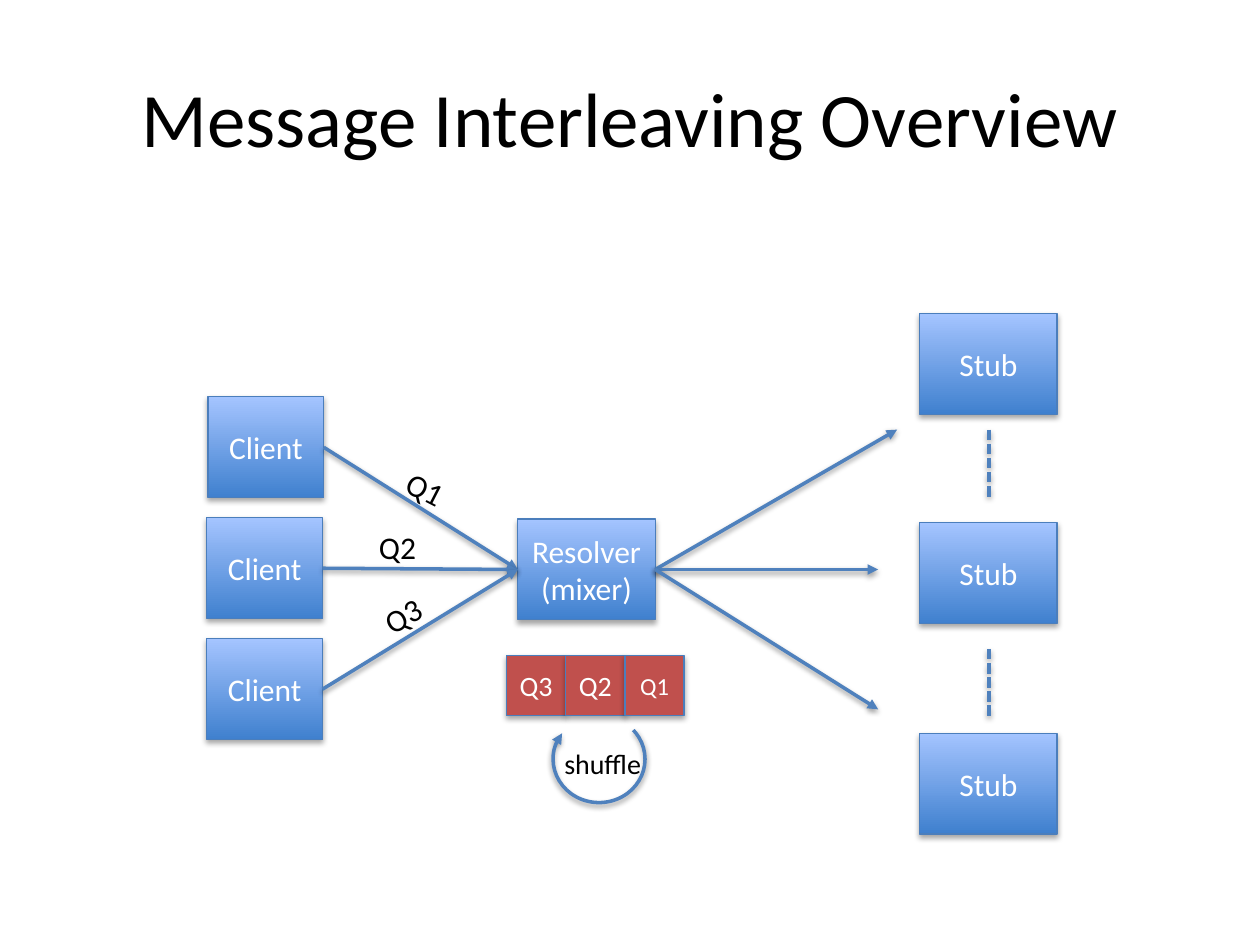
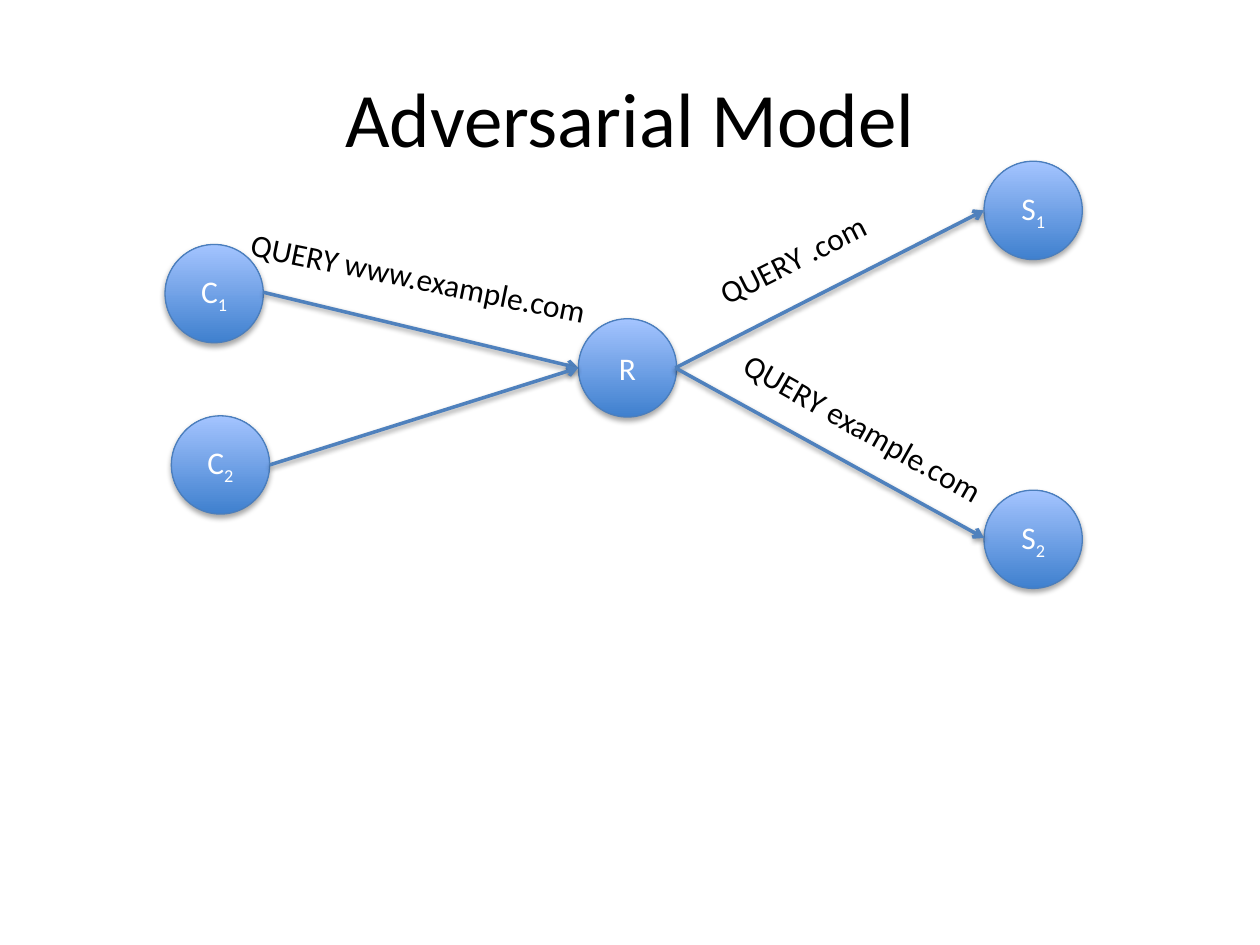
from lxml import etree
from pptx import Presentation
from pptx.dml.color import RGBColor
from pptx.enum.dml import MSO_LINE
from pptx.enum.shapes import MSO_CONNECTOR, MSO_SHAPE
from pptx.enum.text import MSO_ANCHOR, MSO_AUTO_SIZE, PP_ALIGN
from pptx.oxml import parse_xml
from pptx.oxml.ns import nsdecls, qn
from pptx.util import Inches, Pt

hex_color = RGBColor.from_string
FONT = "Calibri"
BLACK, WHITE, RED = "000000", "FFFFFF", "C0504D"
GRADIENT = ("3F80CE", "A4C4FF")
# Colour and width in points, then shadow distance in EMU and opacity in percent
NODE_EDGE = ("4B7EBC", 0.75, 23000, 35)
FLOW_LINE = ("4F81BD", 2, 20000, 38)


def write_text(shape, text, size, color=BLACK, align=PP_ALIGN.CENTER):
    """Write lines of text; what follows an underscore becomes a subscript."""
    frame = shape.text_frame
    for index, line in enumerate(text.split("\n")):
        paragraph = frame.add_paragraph() if index else frame.paragraphs[0]
        paragraph.alignment = align
        base, _, subscript = line.partition("_")
        for part in filter(None, (base, subscript)):
            run = paragraph.add_run()
            run.text = part
            for name, value in {"name": FONT, "size": Pt(size)}.items():
                setattr(run.font, name, value)
            run.font.color.rgb = hex_color(color)
        if subscript:
            run.font._element.set("baseline", "-25000")


def style_line(shape, style, arrow=None):
    """Give a shape or connector its line, arrowhead and soft shadow."""
    color, width, distance, opacity = style
    shape.line.color.rgb = hex_color(color)
    shape.line.width = Pt(width)
    if arrow:
        etree.SubElement(shape.line._get_or_add_ln(), qn("a:tailEnd"), type=arrow)
    shape._element.spPr.append(parse_xml(
        f'<a:effectLst {nsdecls("a")}><a:outerShdw blurRad="40000" dist="{distance}" '
        f'dir="5400000" rotWithShape="0"><a:srgbClr val="000000">'
        f'<a:alpha val="{opacity * 1000}"/></a:srgbClr></a:outerShdw></a:effectLst>'))


# Message interleaving: nodes are text, left, top, width, height
clients = [(1.65, 3.15), (1.64, 4.11), (1.64, 5.07)]
stub_tops = [2.49, 4.15, 5.82]
resolver_in, resolver_out = (4.11, 4.52), (5.2, 4.52)
interleaving = {
    "title": "Message Interleaving Overview",
    "outline": MSO_SHAPE.RECTANGLE,
    "arrow": "triangle",
    "nodes": [("Client", left, top, 0.92, 0.8) for left, top in clients]
    + [("Stub", 7.3, top, 1.09, 0.8) for top in stub_tops]
    + [("Resolver\n(mixer)", 4.11, 4.12, 1.09, 0.8)],
    "flows": [((left + 0.92, top + 0.4), resolver_in) for left, top in clients]
    + [(resolver_out, end) for end in ((7.12, 3.41), (6.97, 4.52), (6.97, 5.63))],
    "labels": [
        ("Q1", 3.13, 3.68, 0.5, 27.2, 18),
        ("Q2", 2.91, 4.14, 0.5, 0, 18),
        ("Q3", 2.95, 4.68, 0.5, 331.2, 18),
        ("shuffle", 4.38, 5.88, 0.82, 0, 16),
    ],
}

# Adversarial model: circles of one size
circles = [("C_1", 1.31, 1.94), ("C_2", 1.36, 3.3), ("R", 4.59, 2.53),
           ("S_1", 7.81, 1.28), ("S_2", 7.81, 3.89)]
relay_in, relay_out = (4.59, 2.92), (5.36, 2.92)
adversary = {
    "title": "Adversarial Model",
    "outline": MSO_SHAPE.OVAL,
    "arrow": "arrow",
    "nodes": [(*circle, 0.78, 0.78) for circle in circles],
    "flows": [((2.09, 2.32), relay_in), ((2.14, 3.69), relay_in),
              (relay_out, (7.81, 1.67)), (relay_out, (7.81, 4.27))],
    "labels": [
        ("QUERY www.example.com", 1.87, 2.01, 2.96, 11.54, 18),
        ("QUERY .com", 5.56, 1.85, 1.48, 333.3, 18),
        ("QUERY example.com", 5.69, 3.2, 2.35, 29.54, 18),
    ],
}

presentation = Presentation()
presentation.slide_width, presentation.slide_height = Inches(10), Inches(7.5)

for diagram in (interleaving, adversary):
    slide = presentation.slides.add_slide(presentation.slide_layouts[5])
    shapes = slide.shapes

    # Title
    title = shapes.title
    box = {"left": 0.5, "top": 0.3, "width": 9, "height": 1.25}
    for name, value in box.items():
        setattr(title, name, Inches(value))
    title.text_frame.vertical_anchor = MSO_ANCHOR.MIDDLE
    write_text(title, diagram["title"], 44)

    # Nodes
    for text, *place in diagram["nodes"]:
        node = shapes.add_shape(diagram["outline"], *map(Inches, place))
        node.fill.gradient()
        node.fill.gradient_angle = 90
        for stop, color, position in zip(node.fill.gradient_stops, GRADIENT, (0, 1)):
            stop.color.rgb = hex_color(color)
            stop.position = position
        style_line(node, NODE_EDGE)
        write_text(node, text, 18, WHITE)

    # Message flows
    for start, end in diagram["flows"]:
        flow = shapes.add_connector(MSO_CONNECTOR.STRAIGHT, *map(Inches, start + end))
        style_line(flow, FLOW_LINE, diagram["arrow"])

    if diagram is interleaving:
        # Dashes between the stubs
        for top in (3.41, 5.15):
            gap = shapes.add_connector(
                MSO_CONNECTOR.STRAIGHT, *map(Inches, (7.85, top, 7.85, top + 0.55)))
            gap.line.dash_style = MSO_LINE.SQUARE_DOT
            style_line(gap, FLOW_LINE)

        # Queue of messages held by the resolver
        for column, (text, size) in enumerate((("Q3", 16), ("Q2", 16), ("Q1", 14))):
            cell = shapes.add_shape(
                MSO_SHAPE.RECTANGLE, Inches(4.02 + 0.47 * column), Inches(5.2),
                Inches(0.47), Inches(0.48))
            cell.fill.solid()
            cell.fill.fore_color.rgb = hex_color(RED)
            style_line(cell, NODE_EDGE)
            write_text(cell, text, size, WHITE)

        # Shuffle loop; one degree is 0.6 of an adjustment unit
        loop = shapes.add_shape(
            MSO_SHAPE.ARC, *map(Inches, (4.39, 5.68, 0.73, 0.69)))
        for index, degrees in enumerate((319.66, 214.95)):
            loop.adjustments[index] = degrees * 0.6
        loop.fill.background()
        style_line(loop, FLOW_LINE, "triangle")

    # Labels
    for text, left, top, width, rotation, size in diagram["labels"]:
        height = 0.4 if size == 18 else 0.37
        label = shapes.add_textbox(*map(Inches, (left, top, width, height)))
        label.rotation = rotation
        label_format = {"word_wrap": False, "auto_size": MSO_AUTO_SIZE.SHAPE_TO_FIT_TEXT}
        for name, value in label_format.items():
            setattr(label.text_frame, name, value)
        write_text(label, text, size, align=PP_ALIGN.LEFT)

presentation.save("out.pptx")
